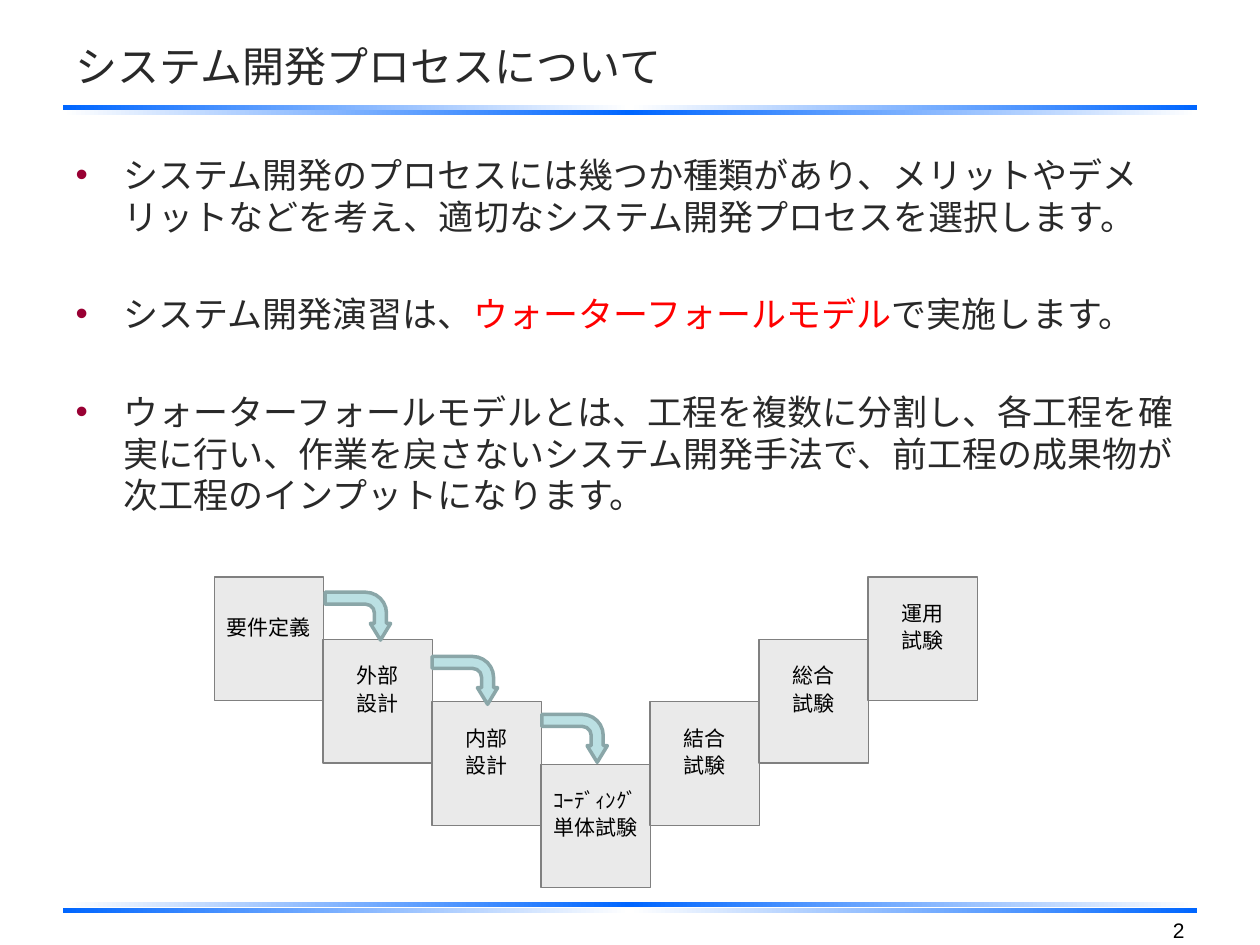
from lxml import etree
from copy import deepcopy
from pptx import Presentation
from pptx.dml.color import RGBColor
from pptx.enum.shapes import MSO_SHAPE
from pptx.enum.text import MSO_ANCHOR, MSO_AUTO_SIZE, PP_ALIGN
from pptx.oxml.ns import qn
from pptx.util import Inches, Pt

RECTANGLE = MSO_SHAPE.RECTANGLE
BENT_ARROW = MSO_SHAPE.BENT_ARROW
LEFT, CENTER, RIGHT = PP_ALIGN.LEFT, PP_ALIGN.CENTER, PP_ALIGN.RIGHT
MIDDLE, TOP = MSO_ANCHOR.MIDDLE, MSO_ANCHOR.TOP
NO_AUTOFIT = MSO_AUTO_SIZE.NONE

BLUE, WHITE, BLACK, RED = "0066FF", "FFFFFF", "000000", "FF0000"
TEXT, BULLET = "292929", "990033"
BOX_FILL, BOX_LINE = "EAEAEA", "808080"
ARROW_FILL, ARROW_LINE = "BBE0E3", "8AA6A8"


def color(value):
    return RGBColor.from_string(value)


class SlideBuilder:
    body_font = "Arial"
    box_font = "Noto Sans CJK JP"

    def __init__(self, slide):
        self.slide = slide

    def place(self, shape, left, top, width, height):
        shape.left, shape.top = Inches(left), Inches(top)
        shape.width, shape.height = Inches(width), Inches(height)

    def run(self, paragraph, text, size, ink=TEXT, font=body_font):
        run = paragraph.add_run()
        run.text = text
        run.font.size = Pt(size)
        run.font.name = font
        run.font.color.rgb = color(ink)

    def shape(self, kind, left, top, width, height):
        shape = self.slide.shapes.add_shape(
            kind, Inches(left), Inches(top), Inches(width), Inches(height))
        shape.shadow.inherit = False
        return shape

    def paint(self, shape, fill, line, line_width):
        shape.fill.solid()
        shape.fill.fore_color.rgb = color(fill)
        shape.line.color.rgb = color(line)
        shape.line.width = Pt(line_width)

    def gradient_bar(self, top, edge, middle):
        bar = self.shape(RECTANGLE, 0.5, top, 9, 0.04)
        bar.line.fill.background()
        bar.fill.gradient()
        bar.fill.gradient_angle = 0
        stop_list = bar.fill._fill._gradFill.find(qn("a:gsLst"))
        stop_list.insert(1, deepcopy(stop_list[0]))
        stops = zip(bar.fill.gradient_stops, (0, 0.5, 1), (edge, middle, edge))
        for stop, position, ink in stops:
            stop.position = position
            stop.color.rgb = color(ink)

    def title(self, text):
        title = self.slide.shapes.title
        self.place(title, 0.5, 0.17, 9, 0.7)
        frame = title.text_frame
        frame.auto_size = NO_AUTOFIT
        frame.vertical_anchor = MIDDLE
        paragraph = frame.paragraphs[0]
        paragraph.alignment = LEFT
        self.run(paragraph, text, 24)

    def bullets(self, items):
        body = self.slide.placeholders[1]
        self.place(body, 0.5, 1.17, 9, 5.75)
        frame = body.text_frame
        frame.auto_size = NO_AUTOFIT
        frame.vertical_anchor = TOP
        for index, item in enumerate(items):
            paragraph = frame.add_paragraph() if index else frame.paragraphs[0]
            paragraph.line_spacing = Pt(23.8)
            paragraph.space_before = Pt(32 if index else 4)
            paragraph.space_after = Pt(0)
            self.bullet_mark(paragraph)
            for text, ink in item:
                self.run(paragraph, text, 20, ink)

    def bullet_mark(self, paragraph):
        properties = paragraph._p.get_or_add_pPr()
        properties.set("marL", str(Inches(0.38)))
        properties.set("indent", str(-Inches(0.38)))
        bullet_color = etree.SubElement(properties, qn("a:buClr"))
        etree.SubElement(bullet_color, qn("a:srgbClr"), val=BULLET)
        etree.SubElement(properties, qn("a:buFont"), typeface=self.body_font)
        etree.SubElement(properties, qn("a:buChar"), char="•")

    def process_box(self, left, top, lines, alignment):
        box = self.shape(RECTANGLE, left, top, 0.87, 0.98)
        self.paint(box, BOX_FILL, BOX_LINE, 0.75)
        frame = box.text_frame
        frame.word_wrap = False
        frame.vertical_anchor = MIDDLE
        frame.margin_top, frame.margin_bottom = Inches(0.01), Inches(0.22)
        paragraph = frame.paragraphs[0]
        paragraph.alignment = alignment
        paragraph.line_spacing = Pt(15.7)
        for index, line in enumerate(lines):
            if index:
                paragraph.add_line_break()
            self.run(paragraph, line, 12, BLACK, self.box_font)

    def bent_arrow(self, left, top):
        arrow = self.shape(BENT_ARROW, left, top, 0.38, 0.52)
        arrow.rotation = 90
        for index, value in enumerate((0.25, 0.212, 0.347, 0.438)):
            arrow.adjustments[index] = value
        self.paint(arrow, ARROW_FILL, ARROW_LINE, 2)

    def page_number(self, text):
        box = self.slide.shapes.add_textbox(
            Inches(7.17), Inches(7.23), Inches(2.33), Inches(0.27))
        box.text_frame.word_wrap = True
        paragraph = box.text_frame.paragraphs[0]
        paragraph.alignment = RIGHT
        self.run(paragraph, text, 12, BLACK)


def main():
    presentation = Presentation()
    presentation.slide_width = Inches(10)
    presentation.slide_height = Inches(7.5)
    slide = presentation.slides.add_slide(presentation.slide_layouts[1])
    builder = SlideBuilder(slide)

    # Header and footer rules
    for top, edge, middle in ((0.87, WHITE, BLUE), (0.83, BLUE, WHITE),
                              (7.21, BLUE, WHITE), (7.16, WHITE, BLUE)):
        builder.gradient_bar(top, edge, middle)

    # Title, list and page number
    builder.title("システム開発プロセスについて")
    builder.bullets([
        [("システム開発のプロセスには幾つか種類があり、メリットやデメリットなどを考え、"
          "適切なシステム開発プロセスを選択します。", TEXT)],
        [("システム開発演習は、", TEXT),
         ("ウォーターフォールモデル", RED),
         ("で実施します。", TEXT)],
        [("ウォーターフォールモデルとは、工程を複数に分割し、各工程を確実に行い、"
          "作業を戻さないシステム開発手法で、前工程の成果物が次工程のインプットになります。",
          TEXT)],
    ])
    builder.page_number("2")

    # V-shaped row of process steps
    steps = [("要件定義",), ("外部", "設計"), ("内部", "設計"),
             ("ｺｰﾃﾞｨﾝｸﾞ", "単体試験"),
             ("結合", "試験"), ("総合", "試験"), ("運用", "試験")]
    bottom = len(steps) // 2
    for index, lines in enumerate(steps):
        depth = bottom - abs(bottom - index)
        alignment = LEFT if index == bottom else CENTER
        builder.process_box(1.7 + 0.865 * index, 4.58 + 0.495 * depth,
                            lines, alignment)

    # Arrows down the design steps
    for left, top in ((2.65, 4.63), (3.5, 5.14), (4.37, 5.6)):
        builder.bent_arrow(left, top)

    presentation.save("out.pptx")


if __name__ == "__main__":
    main()
